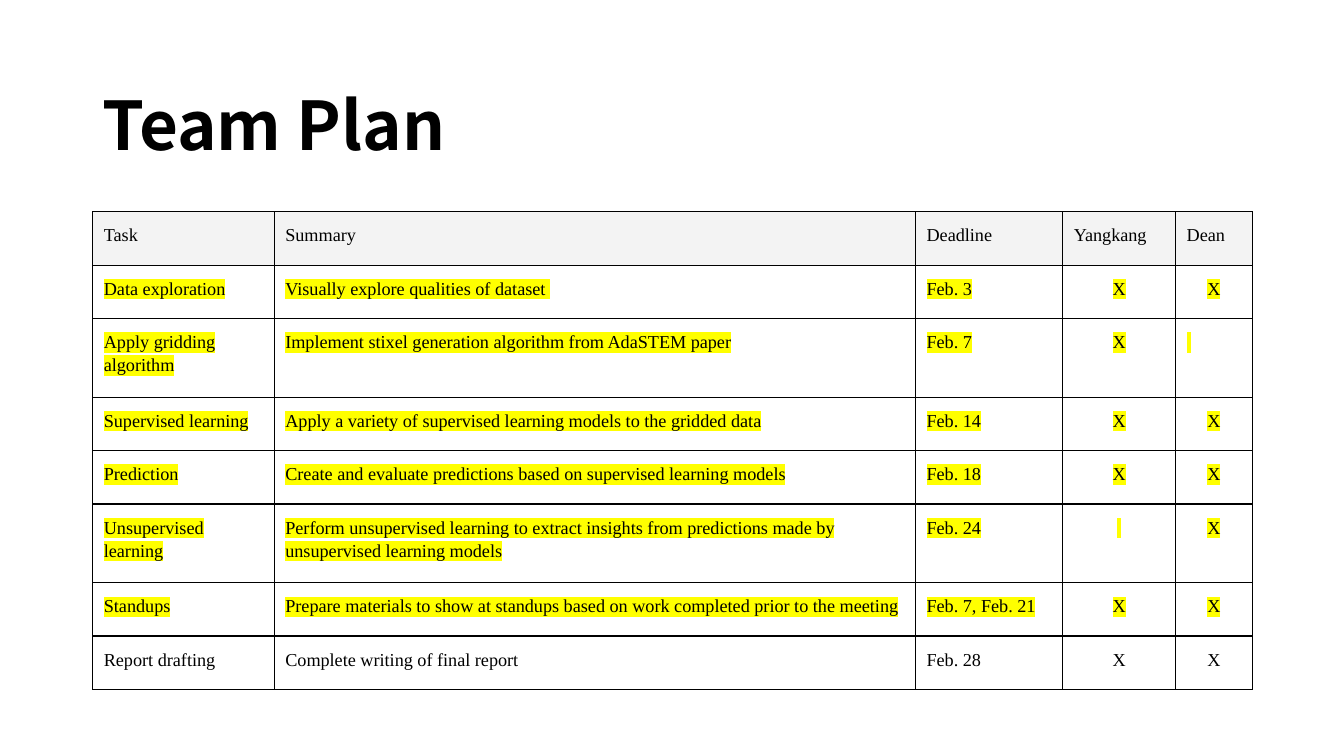
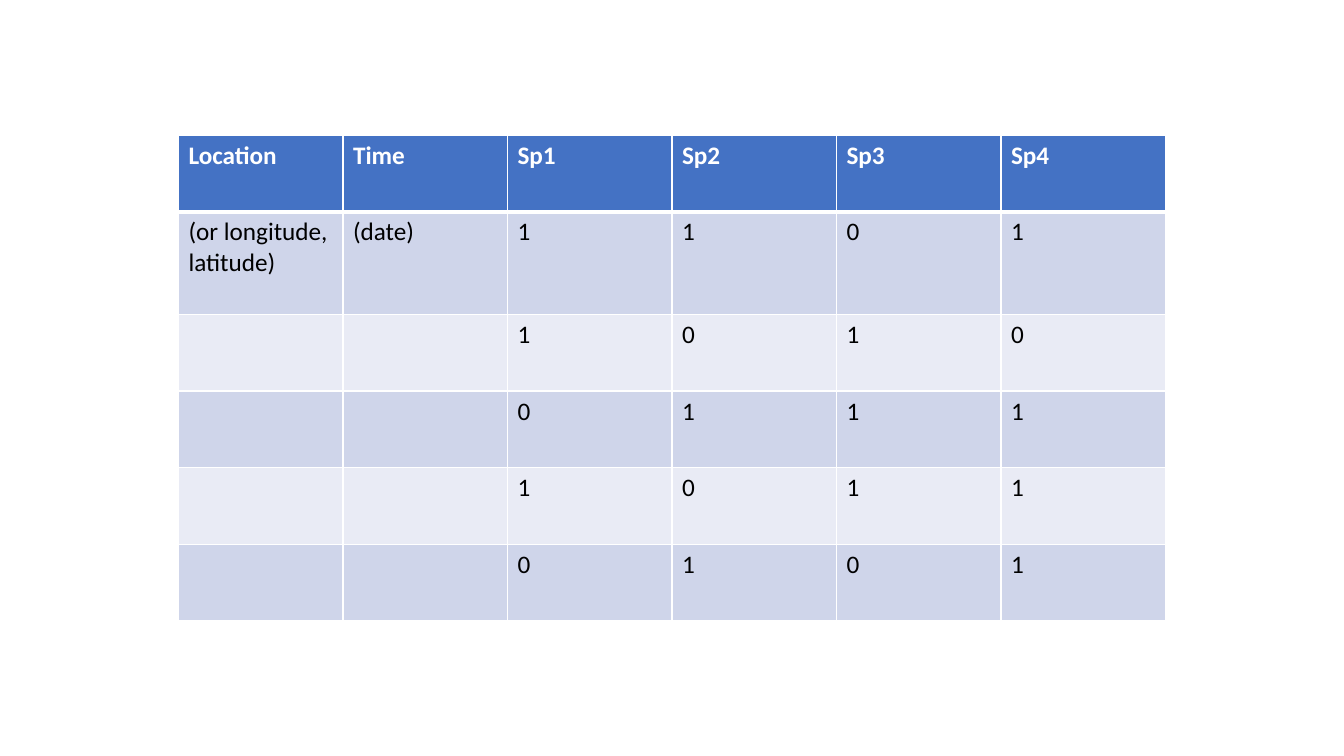
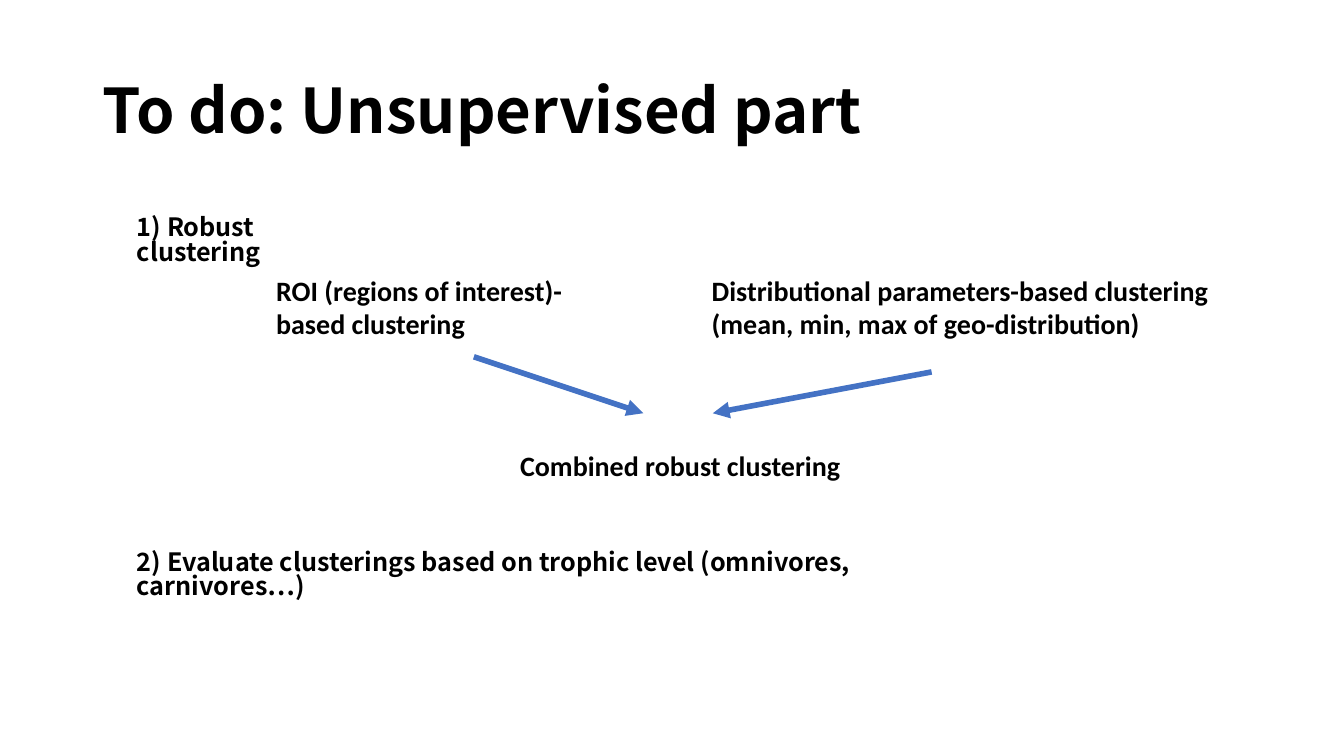
from dataclasses import dataclass
from typing import NamedTuple

from lxml.etree import SubElement
from pptx import Presentation
from pptx.dml.color import RGBColor
from pptx.enum.shapes import MSO_CONNECTOR
from pptx.enum.text import MSO_ANCHOR, PP_ALIGN
from pptx.oxml import parse_xml
from pptx.oxml.ns import nsdecls, qn
from pptx.slide import Slide
from pptx.table import _Cell
from pptx.text.text import TextFrame
from pptx.util import Inches, Pt

BLACK, WHITE, BLUE = "000000", "FFFFFF", "4472C4"
PALE_GREY, YELLOW = "F3F3F3", "FFFF00"
BANDS = ("CFD5EA", "E9EBF5")
HEADING_FONT, BODY_FONT, PLAN_FONT = "Noto Sans CJK KR", "Calibri", "Times New Roman"


class Box(NamedTuple):
    """Place of an element, in inches."""
    left: float
    top: float
    width: float
    height: float


@dataclass
class Label:
    """A bold text standing free on a slide."""
    box: Box
    lines: list[str]
    font: str = BODY_FONT
    size: float = 20


@dataclass
class Arrow:
    """A straight arrow between two points, in inches."""
    start: tuple[float, float]
    end: tuple[float, float]


PLAN_HEADER = ("Task", "Summary", "Deadline", "Yangkang", "Dean")
PLAN_TASKS = [
    ("Data exploration", "Visually explore qualities of dataset ", "Feb. 3", "X", "X"),
    ("Apply gridding algorithm", "Implement stixel generation algorithm from AdaSTEM paper",
     "Feb. 7", "X", " "),
    ("Supervised learning", "Apply a variety of supervised learning models to the gridded data",
     "Feb. 14", "X", "X"),
    ("Prediction", "Create and evaluate predictions based on supervised learning models",
     "Feb. 18", "X", "X"),
    ("Unsupervised learning", "Perform unsupervised learning to extract insights from "
     "predictions made by unsupervised learning models", "Feb. 24", " ", "X"),
    ("Standups", "Prepare materials to show at standups based on work completed prior to the meeting",
     "Feb. 7, Feb. 21", "X", "X"),
    ("Report drafting", "Complete writing of final report", "Feb. 28", "X", "X"),
]
SPECIES_ROWS = [
    ("Location", "Time", "Sp1", "Sp2", "Sp3", "Sp4"),
    ("(or longitude, latitude)", "(date)", "1", "1", "0", "1"),
    ("", "", "1", "0", "1", "0"),
    ("", "", "0", "1", "1", "1"),
    ("", "", "1", "0", "1", "1"),
    ("", "", "0", "1", "0", "1"),
]
CLUSTERING_LABELS = [
    Label(Box(2.64, 2.66, 3.56, 0.77), ["ROI (regions of interest)-based clustering"]),
    Label(Box(6.96, 2.66, 5.29, 0.77), ["Distributional parameters-based clustering",
                                        "(mean, min, max of geo-distribution)"]),
    Label(Box(5.06, 4.4, 3.41, 0.44), ["Combined robust clustering"]),
    Label(Box(1.26, 2.1, 2.53, 0.4), ["1) Robust clustering"], HEADING_FONT, 18),
    Label(Box(1.26, 5.42, 8.44, 0.4),
          ["2) Evaluate clusterings based on trophic level (omnivores, carnivores…)"],
          HEADING_FONT, 18),
]
CLUSTERING_ARROWS = [Arrow((4.7, 3.54), (6.38, 4.1)), Arrow((9.24, 3.69), (7.07, 4.1))]


def color(value: str) -> RGBColor:
    """Turn a hex string into a colour."""
    return RGBColor.from_string(value)


def write(frame: TextFrame, lines: list[str], *, font: str, size: float, ink: str = BLACK,
          bold: bool = False, align: PP_ALIGN = PP_ALIGN.LEFT, spacing: float | None = None,
          highlight: str | None = None) -> None:
    """Fill a text frame with one paragraph for each line."""
    frame.word_wrap = True
    for index, line in enumerate(lines):
        paragraph = frame.add_paragraph() if index else frame.paragraphs[0]
        paragraph.alignment = align
        if spacing:
            paragraph.line_spacing = spacing
        run = paragraph.add_run()
        run.text = line
        run.font.name, run.font.size, run.font.bold = font, Pt(size), bold
        run.font.color.rgb = color(ink)
        if highlight:
            run.font._element.find(qn("a:solidFill")).addnext(parse_xml(
                f'<a:highlight {nsdecls("a")}><a:srgbClr val="{highlight}"/></a:highlight>'))


def add_text(slide: Slide, box: Box, lines: list[str], *,
             anchor: MSO_ANCHOR = MSO_ANCHOR.TOP, **style) -> None:
    """Add a text box."""
    frame = slide.shapes.add_textbox(*map(Inches, box)).text_frame
    frame.vertical_anchor = anchor
    write(frame, lines, **style)


def add_title(slide: Slide, text: str, top: float, height: float, size: float,
              anchor: MSO_ANCHOR) -> None:
    """Add the slide title."""
    add_text(slide, Box(0.92, top, 11.5, height), [text], anchor=anchor,
             font=HEADING_FONT, size=size, bold=True, spacing=0.9)


def set_borders(cell: _Cell, ink: str, top: float = 1, bottom: float = 1) -> None:
    """Draw the four borders of a cell, with widths in points."""
    properties = cell._tc.get_or_add_tcPr()
    widths = {"lnL": 1, "lnR": 1, "lnT": top, "lnB": bottom}
    for index, (side, width) in enumerate(widths.items()):
        properties.insert(index, parse_xml(
            f'<a:{side} {nsdecls("a")} w="{Pt(width)}"><a:solidFill>'
            f'<a:srgbClr val="{ink}"/></a:solidFill></a:{side}>'))


def add_grid(slide: Slide, box: Box, widths: list[float], heights: list[float]) -> list[list[_Cell]]:
    """Add an unstyled table and return its cells row by row."""
    table = slide.shapes.add_table(len(heights), len(widths), *map(Inches, box)).table
    table.first_row = table.horz_banding = False
    for column, width in zip(table.columns, widths):
        column.width = Inches(width)
    for row, height in zip(table.rows, heights):
        row.height = Inches(height)
    return [list(row.cells) for row in table.rows]


def add_arrow(slide: Slide, arrow: Arrow) -> None:
    """Draw an arrow."""
    ends = map(Inches, (*arrow.start, *arrow.end))
    connector = slide.shapes.add_connector(MSO_CONNECTOR.STRAIGHT, *ends)
    connector.line.color.rgb = color(BLUE)
    connector.line.width = Pt(4)
    SubElement(connector.line._get_or_add_ln(), qn("a:tailEnd"), type="triangle")
    SubElement(connector._element.spPr, qn("a:effectLst"))


def build_team_plan(slide: Slide) -> None:
    """Build the plan of tasks and deadlines."""
    add_title(slide, "Team Plan", 0.67, 1.02, 48, MSO_ANCHOR.BOTTOM)
    heights = [0.78 if row in (2, 5) else 0.53 for row in range(8)]
    grid = add_grid(slide, Box(0.92, 2.1, 11.5, 4.73), [1.8, 6.36, 1.46, 1.12, 0.76], heights)
    for row, (cells, texts) in enumerate(zip(grid, [PLAN_HEADER, *PLAN_TASKS])):
        finished = 0 < row < len(PLAN_TASKS)
        for column, (cell, text) in enumerate(zip(cells, texts)):
            cell.margin_left = cell.margin_right = Inches(0.11)
            cell.margin_top = cell.margin_bottom = Inches(0.11)
            if row:
                cell.fill.background()
            else:
                cell.fill.solid()
                cell.fill.fore_color.rgb = color(PALE_GREY)
            set_borders(cell, BLACK)
            centred = text == "X" or (text == " " and column == 3)
            write(cell.text_frame, [text], font=PLAN_FONT, size=13, spacing=1.15,
                  align=PP_ALIGN.CENTER if centred else PP_ALIGN.LEFT,
                  highlight=YELLOW if finished else None)


def build_species_table(slide: Slide) -> None:
    """Build the table of species found by place and time."""
    heights = [1.02 if row == 1 else 0.76 for row in range(6)]
    grid = add_grid(slide, Box(1.77, 1.34, 9.79, 4.82), [9.79 / 6] * 6, heights)
    for row, (cells, texts) in enumerate(zip(grid, SPECIES_ROWS)):
        header = row == 0
        for cell, text in zip(cells, texts):
            cell.fill.solid()
            cell.fill.fore_color.rgb = color(BLUE if header else BANDS[(row - 1) % 2])
            set_borders(cell, WHITE, top=3 if row == 1 else 1, bottom=3 if header else 1)
            if text:
                write(cell.text_frame, [text], font=BODY_FONT, size=18,
                      ink=WHITE if header else BLACK, bold=header)


def build_unsupervised_part(slide: Slide) -> None:
    """Build the steps of the unsupervised part."""
    add_title(slide, "To do: Unsupervised part", 0.4, 1.45, 44, MSO_ANCHOR.MIDDLE)
    for label in CLUSTERING_LABELS:
        add_text(slide, label.box, label.lines, font=label.font, size=label.size, bold=True,
                 spacing=0.82 if label.font == HEADING_FONT else None)
    for arrow in CLUSTERING_ARROWS:
        add_arrow(slide, arrow)


def main() -> None:
    """Build and save the presentation."""
    deck = Presentation()
    deck.slide_width, deck.slide_height = Inches(13.33), Inches(7.5)
    for build in (build_team_plan, build_species_table, build_unsupervised_part):
        build(deck.slides.add_slide(deck.slide_layouts[6]))
    deck.save("out.pptx")


if __name__ == "__main__":
    main()
